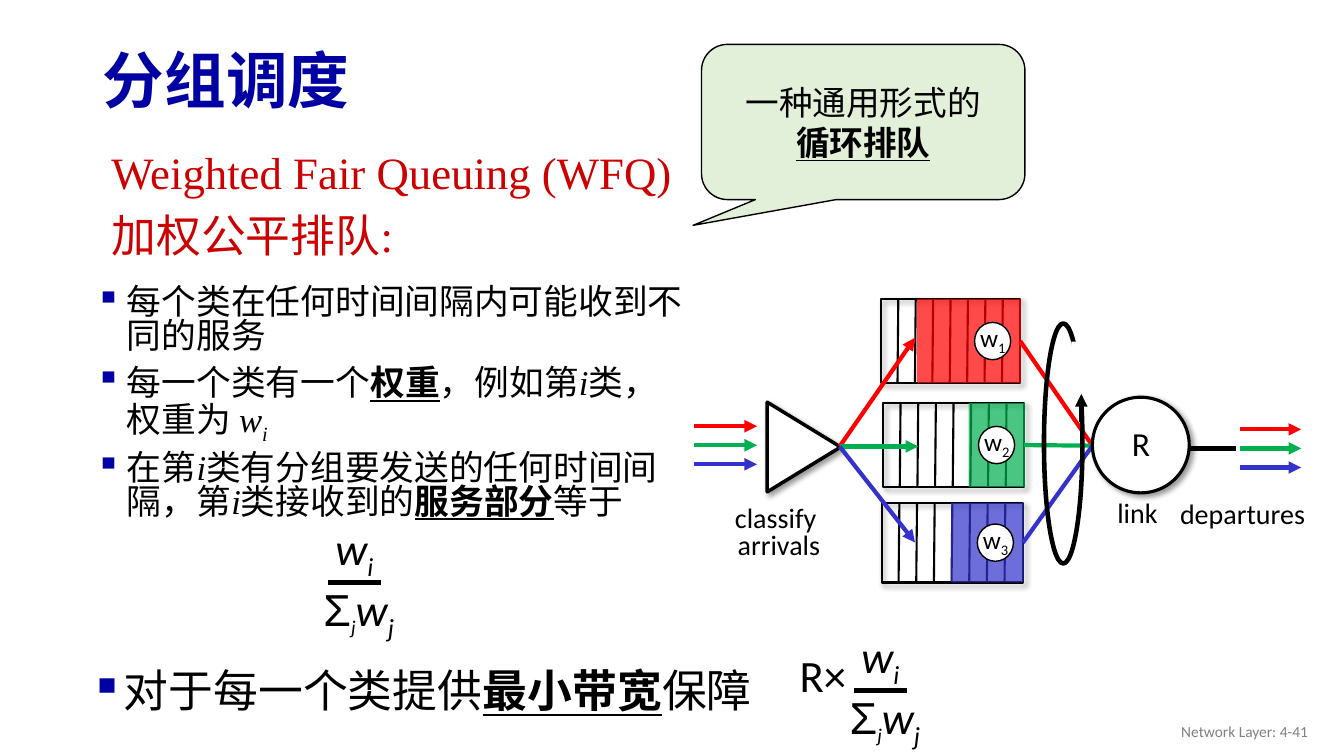
from lxml.etree import SubElement
from pptx import Presentation
from pptx.dml.color import RGBColor
from pptx.enum.shapes import MSO_CONNECTOR, MSO_SHAPE
from pptx.enum.text import MSO_ANCHOR, MSO_AUTO_SIZE, PP_ALIGN
from pptx.oxml.ns import qn
from pptx.util import Cm, Pt

BLACK, WHITE, NAVY, CRIMSON = "000000", "FFFFFF", "0000A3", "CC0000"
RED, GREEN, BLUE = "FF0000", "00B050", "3333CC"
FLOWS = (RED, GREEN, BLUE)
STRONG = {"bold": True, "underline": True}
ITALIC = {"italic": True}
SUBSCRIPT = {"italic": True, "baseline": -25000}


def rgb(colour):
    """Turn a hex string into a colour."""
    return RGBColor.from_string(colour)


def add_bullet(paragraph, marker, colour):
    """Give a paragraph a hanging indent and a coloured bullet."""
    properties = paragraph._p.get_or_add_pPr()
    properties.set("marL", str(Cm(1.63)))
    properties.set("indent", str(Cm(-0.79)))
    SubElement(SubElement(properties, qn("a:buClr")), qn("a:srgbClr"), val=colour)
    SubElement(properties, qn("a:buChar"), char=marker)


def write_text(frame, paragraphs, size=20, font="Calibri", colour=BLACK, bold=None,
               align=PP_ALIGN.LEFT, anchor=MSO_ANCHOR.TOP, spacing=None, before=0,
               bullet=None, wrap=True):
    """Write paragraphs of runs, each a string or a (string, format) pair."""
    frame.word_wrap = wrap
    frame.auto_size = MSO_AUTO_SIZE.NONE if wrap else MSO_AUTO_SIZE.SHAPE_TO_FIT_TEXT
    frame.vertical_anchor = anchor
    for index, runs in enumerate(paragraphs):
        paragraph = frame.add_paragraph() if index else frame.paragraphs[0]
        if bullet:
            add_bullet(paragraph, bullet, NAVY)
        paragraph.alignment = align
        if spacing:
            paragraph.line_spacing = spacing
        paragraph.space_before = Pt(before if index else 0)
        for piece in runs:
            words, style = (piece, {}) if isinstance(piece, str) else piece
            run = paragraph.add_run()
            run.text = words
            run.font.name = style.get("font", font)
            run.font.size = Pt(style.get("size", size))
            run.font.color.rgb = rgb(colour)
            run.font.bold = style.get("bold", bold)
            run.font.italic = style.get("italic")
            run.font.underline = style.get("underline")
            if "baseline" in style:
                run.font._element.set("baseline", str(style["baseline"]))


def add_text(slide, box, paragraphs, **style):
    """Add a text box at a box given in centimetres."""
    label = slide.shapes.add_textbox(*map(Cm, box))
    write_text(label.text_frame, paragraphs, **style)


def add_label(slide, box, *lines, **style):
    """Add a centred diagram label that does not wrap."""
    add_text(slide, box, [[words] for words in lines], align=PP_ALIGN.CENTER,
             spacing=0.8, wrap=False, **style)


def add_outline(slide, kind, box, fill=None, width=None, opacity=None, shadow=False):
    """Add a preset shape with optional fill, black line and soft shadow."""
    shape = slide.shapes.add_shape(kind, *map(Cm, box))
    shape.shadow.inherit = False
    if fill:
        shape.fill.solid()
        shape.fill.fore_color.rgb = rgb(fill)
    else:
        shape.fill.background()
    properties = shape._element.spPr
    if opacity:
        tint = properties.find(".//" + qn("a:srgbClr"))
        SubElement(tint, qn("a:alpha"), val=str(opacity * 1000))
    if width:
        shape.line.color.rgb = rgb(BLACK)
        shape.line.width = Pt(width)
    else:
        shape.line.fill.background()
    if shadow:
        cast = SubElement(properties.find(qn("a:effectLst")), qn("a:outerShdw"),
                          blurRad=str(Pt(4)), dist=str(Pt(3)), dir="2700000",
                          algn="tl", rotWithShape="0")
        tint = SubElement(cast, qn("a:srgbClr"), val=BLACK)
        SubElement(tint, qn("a:alpha"), val="40000")
    return shape


def add_line(slide, start, end, colour=BLACK, width=3, arrow=False, source=None):
    """Draw a straight line, optionally with an arrowhead or from a box's right side."""
    link = slide.shapes.add_connector(MSO_CONNECTOR.STRAIGHT, *map(Cm, start + end))
    link.line.color.rgb = rgb(colour)
    link.line.width = Pt(width)
    if arrow:
        SubElement(link.line._get_or_add_ln(), qn("a:tailEnd"), type="triangle")
    SubElement(link._element.spPr, qn("a:effectLst"))
    if source:
        link.begin_connect(source, 3)


def add_queue(slide, number, box, backlog, colour):
    """Draw a queue of eight slots with its backlog and weight badge."""
    left, top, width, height = box
    right, middle = left + width, top + height / 2
    queue = add_outline(slide, MSO_SHAPE.RECTANGLE, box, width=1.5, shadow=True)
    for slot in range(1, 8):
        x = left + width * slot / 8
        add_line(slide, (x, top), (x - 0.02, top + height), width=1.5)
    add_outline(slide, MSO_SHAPE.RECTANGLE, (right + 0.02 - backlog, top, backlog, height),
                fill=colour, opacity=71)
    add_outline(slide, MSO_SHAPE.OVAL, (right - 1.15, middle - 0.47, 0.91, 0.94),
                fill=WHITE, width=1)
    add_text(slide, (right - 1.26, middle - 0.6, 1.19, 1.02),
             [["w", (number, {"baseline": -25000})]], size=18, wrap=False)
    return queue


def add_flows(slide, left, right, top):
    """Draw the three coloured packet flows as parallel arrows."""
    for index, colour in enumerate(FLOWS):
        y = top + 0.48 * index
        add_line(slide, (left, y), (right, y), colour, arrow=True)


def add_weight_share(slide, left, top):
    """Write the weight of one class over the sum of all weights."""
    add_text(slide, (left + 0.3, top, 1.5, 1.63), [[("w", ITALIC), ("i", SUBSCRIPT)]],
             size=32, wrap=False)
    add_text(slide, (left, top + 1.53, 2.36, 1.63),
             [[("Σ", {"font": "Arial"}), ("j", {**SUBSCRIPT, "size": 24}),
               ("w", ITALIC), ("j", SUBSCRIPT)]], size=32, wrap=False)
    add_line(slide, (left + 0.36, top + 1.68), (left + 1.7, top + 1.68))


def add_scheduler(slide):
    """Draw the classifier, the weighted queues, the service cycle and the link."""
    fork, merge = (21.16, 11.25), (27.53, 11.23)
    queues = [
        add_queue(slide, "1", (22.2, 7.54, 3.51, 2.11), 2.62, RED),
        add_queue(slide, "2", (22.25, 10.16, 3.56, 2.11), 1.42, GREEN),
        add_queue(slide, "3", (22.22, 12.67, 3.56, 2.01), 1.83, BLUE),
    ]
    classifier = add_outline(slide, MSO_SHAPE.ISOSCELES_TRIANGLE, (19.13, 10.34, 2.26, 1.85),
                             fill=WHITE, width=2.5, shadow=True)
    classifier.rotation = 90
    add_flows(slide, 17.5, 19.08, 10.74)
    add_flows(slide, 31.24, 32.79, 10.82)
    for queue, entry, colour in zip(queues, ((23.06, 8.51), (23.14, 11.25), (23.06, 13.67)),
                                    FLOWS):
        add_line(slide, fork, entry, colour, arrow=True)
        add_line(slide, merge, merge, colour, source=queue)
    add_line(slide, (29.87, 11.3), (31.14, 11.3))
    add_outline(slide, MSO_SHAPE.OVAL, (27.53, 10.01, 2.44, 2.41), fill=WHITE, width=2.25,
                shadow=True)
    add_label(slide, (18.26, 12.65, 2.74, 1.65), "classify ", "arrivals")
    add_label(slide, (29.46, 12.55, 3.71, 0.97), "departures")
    add_label(slide, (27.89, 12.52, 1.55, 0.97), "link")
    add_label(slide, (28.27, 10.74, 0.97, 1.09), "R", size=24)
    add_outline(slide, MSO_SHAPE.OVAL, (26.31, 8.15, 0.97, 6.05), width=3.25)
    add_outline(slide, MSO_SHAPE.RECTANGLE, (27, 8.61, 0.53, 1.63), fill=WHITE)
    add_line(slide, (27.25, 10.64), (27.25, 9.93), arrow=True)


def main():
    """Build the packet scheduling slide and save it."""
    deck = Presentation()
    deck.slide_width, deck.slide_height = Cm(33.87), Cm(19.05)
    slide = deck.slides.add_slide(deck.slide_layouts[5])
    title = slide.shapes.title
    title.left, title.top, title.width, title.height = map(Cm, (2.34, 0.86, 29.21, 2.49))
    write_text(title.text_frame, [["分组调度"]], size=44, colour=NAVY, bold=True,
               anchor=MSO_ANCHOR.MIDDLE, spacing=0.9)
    add_text(slide, (2.56, 3.68, 16.74, 4.83),
             [["Weighted Fair Queuing (WFQ)"], ["加权公平排队:"]],
             size=32, font="Times New Roman", colour=CRIMSON, spacing=0.9, before=10)
    add_scheduler(slide)
    add_text(slide, (1.32, 7.14, 16.26, 7.01), [
        ["每个类在任何时间间隔内可能收到不同的服务"],
        ["每一个类有一个", ("权重", STRONG), "，例如第", ("i", ITALIC), "类，权重为 ",
         ("w", ITALIC), ("i", SUBSCRIPT)],
        ["在第", ("i", ITALIC), "类有分组要发送的任何时间间隔，第", ("i", ITALIC),
         "类接收到的", ("服务部分", STRONG), "等于"],
    ], size=24.8, font="Times New Roman", spacing=0.8, before=10, bullet="▪")
    add_weight_share(slide, 7.9, 13)
    add_text(slide, (1.19, 16.74, 20.02, 1.8),
             [["对于每一个类提供", ("最小带宽", STRONG), "保障"]],
             size=32, font="Arial", spacing=0.9, bullet="▪")
    add_label(slide, (19.79, 16.46, 1.9, 1.63), "R×", size=32)
    add_weight_share(slide, 21.16, 15.72)
    callout = add_outline(slide, MSO_SHAPE.ROUNDED_RECTANGULAR_CALLOUT,
                          (17.68, 1.12, 8.15, 3.91), fill="E2F0D9", width=1)
    for index, value in enumerate((-0.526, 0.666, 0.167)):
        callout.adjustments[index] = value
    write_text(callout.text_frame, [["一种通用形式的"], [("循环排队", STRONG)]], size=24,
               align=PP_ALIGN.CENTER, anchor=MSO_ANCHOR.MIDDLE)
    add_text(slide, (25.6, 17.91, 7.62, 1.02), [["Network Layer: 4-41"]], size=11,
             colour="808080", align=PP_ALIGN.RIGHT, anchor=MSO_ANCHOR.MIDDLE)
    deck.save("out.pptx")


if __name__ == "__main__":
    main()
